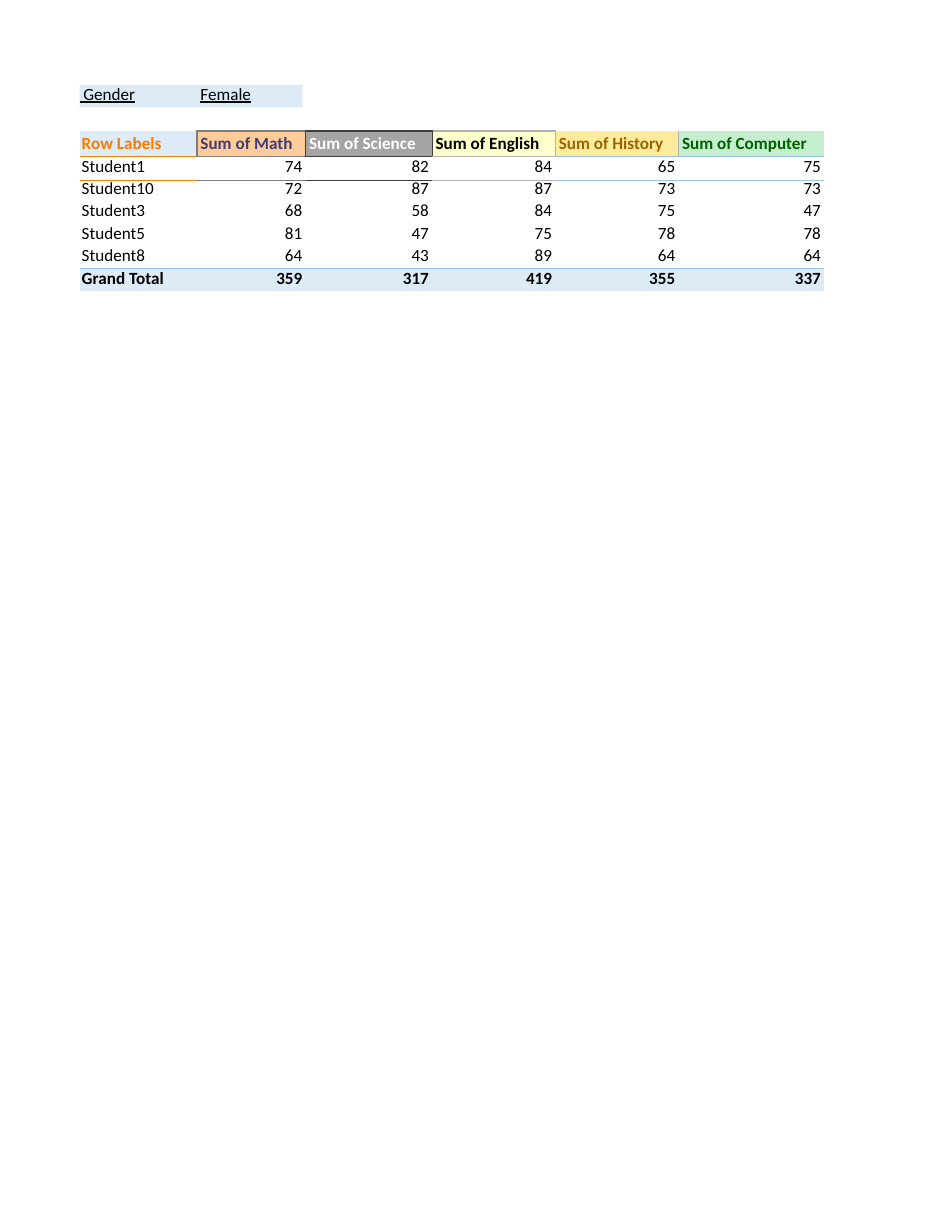
from dataclasses import dataclass
from lxml import etree
from pptx import Presentation, util as u
from pptx.dml.color import RGBColor
from pptx.enum import shapes, text
from pptx.oxml import ns


@dataclass(frozen=True)
class Theme:
    font: str = "Calibri"
    size: float = 11
    rule: float = 1
    ink: str = "000000"
    band: str = "DDEBF7"
    gray: str = "7E7E7E"
    dark: str = "3E3E3E"
    pale: str = "B1B1B1"
    blue: str = "9BC2E6"
    gold: str = "FF8000"
    plain: str = "{2D5ABB26-0587-4C30-8999-92F81FD0307C}"


class Sheet:
    def __init__(self, deck, theme):
        self.theme = theme
        self.slide = deck.slides.add_slide(deck.slide_layouts[6])

    def bar(self, left, top, width, height):
        bar = self.slide.shapes.add_shape(
            shapes.MSO_SHAPE.RECTANGLE, *map(u.Inches, (left, top, width, height)))
        bar.shadow.inherit = False
        bar.fill.solid()
        bar.fill.fore_color.rgb = RGBColor.from_string(self.theme.band)
        bar.line.fill.background()

    def table(self, left, top, widths, heights):
        frame = self.slide.shapes.add_table(
            len(heights), len(widths),
            *map(u.Inches, (left, top, sum(widths), sum(heights))))
        grid = frame.table
        grid.first_row = grid.horz_banding = False
        grid._tbl.tblPr.find(ns.qn("a:tableStyleId")).text = self.theme.plain
        for col, width in zip(grid.columns, widths):
            col.width = u.Inches(width)
        for row, height in zip(grid.rows, heights):
            row.height = u.Inches(height)
        return grid

    def cell(self, cell, words, lead=None, color=None, fill=None, bold=False,
             under=False, right=False, inset=0.03, top=0, edges=None):
        cell.margin_left = u.Inches(inset)
        cell.margin_right = u.Inches(0.03 if right else 0)
        cell.margin_top = u.Inches(top)
        cell.margin_bottom = 0
        cell.text = words
        para = cell.text_frame.paragraphs[0]
        para.alignment = text.PP_ALIGN.RIGHT if right else text.PP_ALIGN.LEFT
        if lead:
            para.line_spacing = u.Pt(lead)
        font = para.font
        font.name, font.size = self.theme.font, u.Pt(self.theme.size)
        font.bold, font.underline = bold, under
        font.color.rgb = RGBColor.from_string(color or self.theme.ink)
        self.edge(cell, edges or {})
        if fill:
            cell.fill.solid()
            cell.fill.fore_color.rgb = RGBColor.from_string(fill)
        else:
            cell.fill.background()

    def edge(self, cell, edges):
        props = cell._tc.get_or_add_tcPr()
        for side in "LRTB":
            if edges.get(side):
                line = etree.SubElement(props, ns.qn("a:ln" + side),
                                        w=str(u.Pt(self.theme.rule)))
                fill = etree.SubElement(line, ns.qn("a:solidFill"))
                etree.SubElement(fill, ns.qn("a:srgbClr"), val=edges[side])


def main():
    deck = Presentation()
    deck.slide_width, deck.slide_height = u.Inches(8.5), u.Inches(11)
    look = Theme()
    sheet = Sheet(deck, look)
    left, top = 0.71, 0.76
    sheet.bar(left, top, 1.99, 0.2)

    widths = [1.05, 0.97, 1.13, 1.1, 1.1, 1.3]
    heights = [0.41, 0.23, 0.21, 0.2, 0.2, 0.2, 0.19, 0.2]
    grid = sheet.table(left, top, widths, heights)

    heads = [
        ("Row Labels", "F97C00", look.band),
        ("Sum of Math", "3E3E76", "FFCC99"),
        ("Sum of Science", "FFFFFF", "A4A4A4"),
        ("Sum of English", look.ink, "FFFFCC"),
        ("Sum of History", "9C6400", "FFEB9C"),
        ("Sum of Computer", "006000", "C5EECE"),
    ]
    tops = [None, look.gray, look.dark, look.pale, None, None]
    floors = [look.gold, look.gray, look.dark, look.pale, look.blue, look.blue]
    sides = [None, look.gray, look.dark, look.dark, look.pale, None, None]
    filters = [" Gender", "Female", "", "", "", ""]

    for col, (words, color, fill) in enumerate(heads):
        inset = 0.03 if col else 0.02
        sheet.cell(grid.cell(0, col), filters[col], lead=12.7, under=True,
                   inset=inset if col else 0, edges={"B": tops[col]})
        sheet.cell(grid.cell(1, col), words, color=color, fill=fill, bold=True,
                   inset=inset, top=0.02,
                   edges={"L": sides[col], "R": sides[col + 1],
                          "T": tops[col], "B": floors[col]})

    marks = [
        ("Student1", 74, 82, 84, 65, 75),
        ("Student10", 72, 87, 87, 73, 73),
        ("Student3", 68, 58, 84, 75, 47),
        ("Student5", 81, 47, 75, 78, 78),
        ("Student8", 64, 43, 89, 64, 64),
    ]
    totals = ("Grand Total", *map(sum, list(zip(*marks))[1:]))
    rows = [*marks, totals]
    leads = [12.9, *[12.2] * 4, 13.2]
    last = len(rows) - 1
    for row, (values, lead) in enumerate(zip(rows, leads)):
        total = row == last
        for col, value in enumerate(values):
            edges = {}
            if row == 0:
                edges["T"] = floors[col]
            elif total:
                edges["T"] = look.blue
            elif row == last - 1:
                edges["B"] = look.blue
            sheet.cell(grid.cell(row + 2, col), str(value), lead=lead,
                       fill=look.band if total else None, bold=total,
                       right=col > 0, inset=0 if col else 0.02, edges=edges)

    deck.save("out.pptx")


if __name__ == "__main__":
    main()
